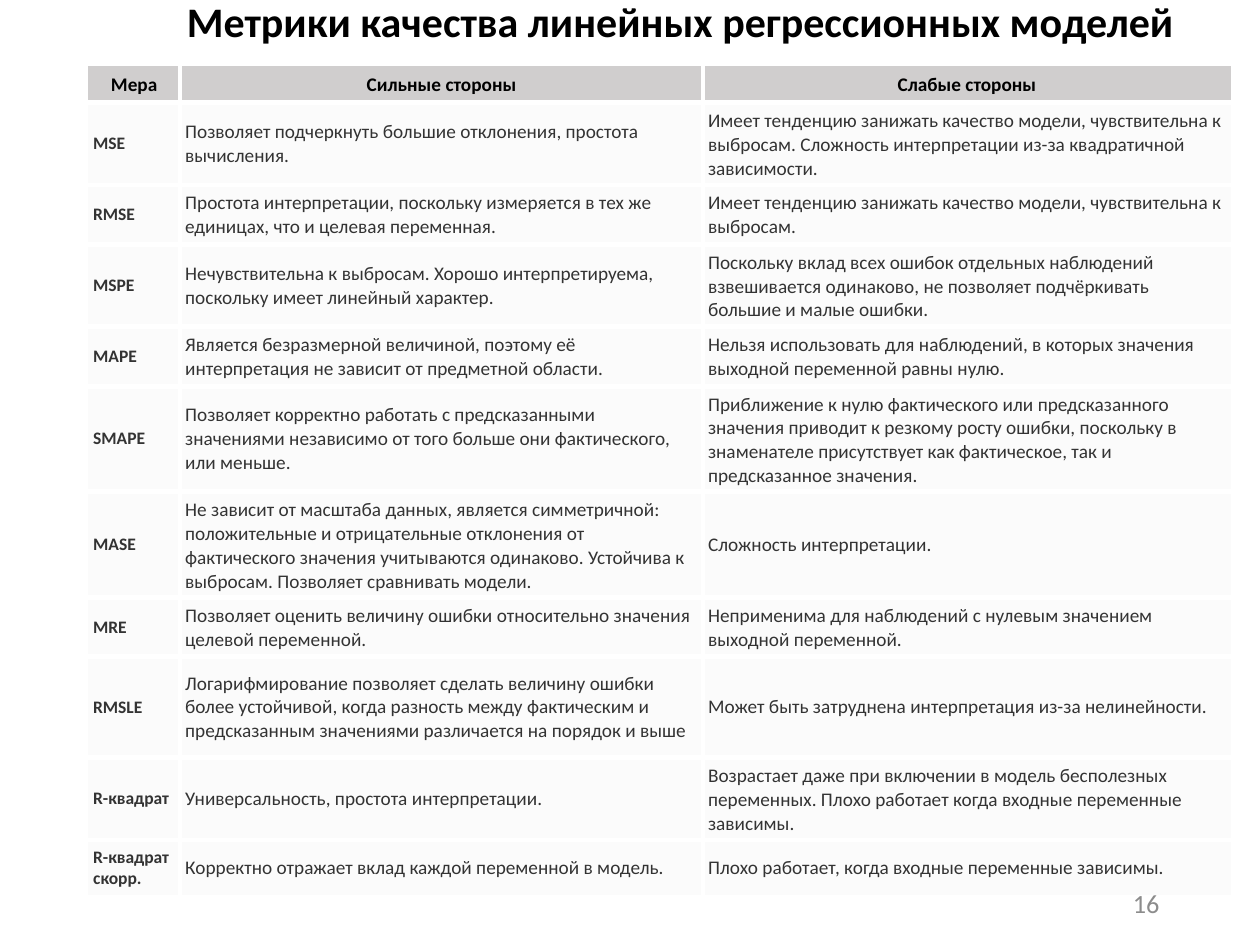
from lxml import etree
from pptx import Presentation
from pptx.dml.color import RGBColor
from pptx.enum.text import MSO_ANCHOR, PP_ALIGN
from pptx.oxml.ns import qn
from pptx.util import Inches, Pt

LEFT, CENTER, RIGHT = PP_ALIGN.LEFT, PP_ALIGN.CENTER, PP_ALIGN.RIGHT
MIDDLE = MSO_ANCHOR.MIDDLE
WIDTH, HEIGHT = 10, 7.5
FONT = "Calibri"
COLORS = {
    "title": "000000",
    "header": "D0CECE",
    "body": "FBFBFB",
    "text": "333333",
    "number": "8C8C8C",
    "border": "FFFFFF",
}
COLUMN_WIDTHS = [0.73, 4.15, 4.19]
ROW_HEIGHTS = [0.28, 0.63, 0.45, 0.63, 0.45, 0.8, 0.8, 0.45, 0.8, 0.63, 0.42]
METRICS = [
    ("Мера", "Сильные стороны", "Слабые стороны"),
    ("MSE", "Позволяет подчеркнуть большие отклонения, простота вычисления.",
     "Имеет тенденцию занижать качество модели, чувствительна к выбросам. "
     "Сложность интерпретации из-за квадратичной зависимости."),
    ("RMSE", "Простота интерпретации, поскольку измеряется в тех же единицах, "
     "что и целевая переменная.",
     "Имеет тенденцию занижать качество модели, чувствительна к выбросам."),
    ("MSPE", "Нечувствительна к выбросам. Хорошо интерпретируема, "
     "поскольку имеет линейный характер.",
     "Поскольку вклад всех ошибок отдельных наблюдений взвешивается одинаково, "
     "не позволяет подчёркивать большие и малые ошибки."),
    ("MAPE", "Является безразмерной величиной, поэтому её интерпретация "
     "не зависит от предметной области.",
     "Нельзя использовать для наблюдений, в которых значения "
     "выходной переменной равны нулю."),
    ("SMAPE", "Позволяет корректно работать с предсказанными значениями "
     "независимо от того больше они фактического, или меньше.",
     "Приближение к нулю фактического или предсказанного значения приводит "
     "к резкому росту ошибки, поскольку в знаменателе присутствует "
     "как фактическое, так и предсказанное значения."),
    ("MASE", "Не зависит от масштаба данных, является симметричной: "
     "положительные и отрицательные отклонения от фактического значения "
     "учитываются одинаково. Устойчива к выбросам. Позволяет сравнивать модели.",
     "Сложность интерпретации."),
    ("MRE", "Позволяет оценить величину ошибки относительно значения "
     "целевой переменной.",
     "Неприменима для наблюдений с нулевым значением выходной переменной."),
    ("RMSLE", "Логарифмирование позволяет сделать величину ошибки более "
     "устойчивой, когда разность между фактическим и предсказанным "
     "значениями различается на порядок и выше",
     "Может быть затруднена интерпретация из-за нелинейности."),
    ("R-квадрат", "Универсальность, простота интерпретации.",
     "Возрастает даже при включении в модель бесполезных переменных. "
     "Плохо работает когда входные переменные зависимы."),
    ("R-квадрат скорр.", "Корректно отражает вклад каждой переменной в модель.",
     "Плохо работает, когда входные переменные зависимы."),
]


def write_text(frame, text, size=11, color="text", bold=False, align=LEFT, spacing=None):
    """Write one formatted paragraph into a text frame."""
    frame.word_wrap = True
    para = frame.paragraphs[0]
    para.alignment = align
    para.line_spacing = spacing
    span = para.add_run()
    span.text = text
    span.font.name = FONT
    span.font.size = Pt(size)
    span.font.bold = bold
    span.font.color.rgb = RGBColor.from_string(COLORS[color])


def add_label(page, text, left, top, width, height, margins=(0.1, 0.05, 0.1, 0.05), **style):
    """Add a text box placed by shares of the slide's size."""
    box = page.shapes.add_textbox(
        Inches(left * WIDTH), Inches(top * HEIGHT),
        Inches(width * WIDTH), Inches(height * HEIGHT))
    frame = box.text_frame
    frame.vertical_anchor = MIDDLE
    (frame.margin_left, frame.margin_top,
     frame.margin_right, frame.margin_bottom) = map(Inches, margins)
    write_text(frame, text, **style)


def add_borders(cell, row, column):
    """Draw white rules on the cell edges that face another cell."""
    edges = {
        "a:lnL": column > 0,
        "a:lnR": column < len(COLUMN_WIDTHS) - 1,
        "a:lnT": row > 0,
        "a:lnB": row < len(ROW_HEIGHTS) - 1,
    }
    properties = cell._tc.get_or_add_tcPr()
    for tag, is_inner in edges.items():
        line = etree.SubElement(properties, qn(tag), w=str(Pt(3)))
        if is_inner:
            fill = etree.SubElement(line, qn("a:solidFill"))
            etree.SubElement(fill, qn("a:srgbClr"), val=COLORS["border"])
        else:
            etree.SubElement(line, qn("a:noFill"))


def fill_cell(cell, text, row, column):
    """Format one cell according to its row and column."""
    is_header = row == 0
    is_name = column == 0 and not is_header
    cell.margin_left = cell.margin_right = Inches(0.04)
    cell.margin_top = cell.margin_bottom = Pt(3.75)
    cell.vertical_anchor = MIDDLE
    add_borders(cell, row, column)
    cell.fill.solid()
    cell.fill.fore_color.rgb = RGBColor.from_string(COLORS["header" if is_header else "body"])
    write_text(cell.text_frame, text, size=10 if is_name else 11,
               color="title" if is_header else "text",
               bold=is_header or is_name, align=CENTER if is_header else LEFT)


def add_metrics_table(page, left, top):
    """Add the table that compares the metrics."""
    table = page.shapes.add_table(
        len(ROW_HEIGHTS), len(COLUMN_WIDTHS),
        Inches(left * WIDTH), Inches(top * HEIGHT),
        Inches(sum(COLUMN_WIDTHS)), Inches(sum(ROW_HEIGHTS))).table
    table.horz_banding = False
    for column, width in zip(table.columns, COLUMN_WIDTHS):
        column.width = Inches(width)
    for row, height in zip(table.rows, ROW_HEIGHTS):
        row.height = Inches(height)
    for row, texts in enumerate(METRICS):
        for column, text in enumerate(texts):
            fill_cell(table.cell(row, column), text, row, column)


def main():
    """Build the slide and save the deck."""
    deck = Presentation()
    deck.slide_width, deck.slide_height = Inches(WIDTH), Inches(HEIGHT)
    page = deck.slides.add_slide(deck.slide_layouts[6])
    add_label(page, "Метрики качества линейных регрессионных моделей",
              0.11, 0, 0.86, 0.05, margins=(0, 0.01, 0, 0),
              size=24, color="title", bold=True, align=CENTER, spacing=0.9)
    add_metrics_table(page, 0.07, 0.07)
    add_label(page, "16", 0.71, 0.93, 0.22, 0.05,
              size=15, color="number", align=RIGHT)
    deck.save("out.pptx")


if __name__ == "__main__":
    main()
